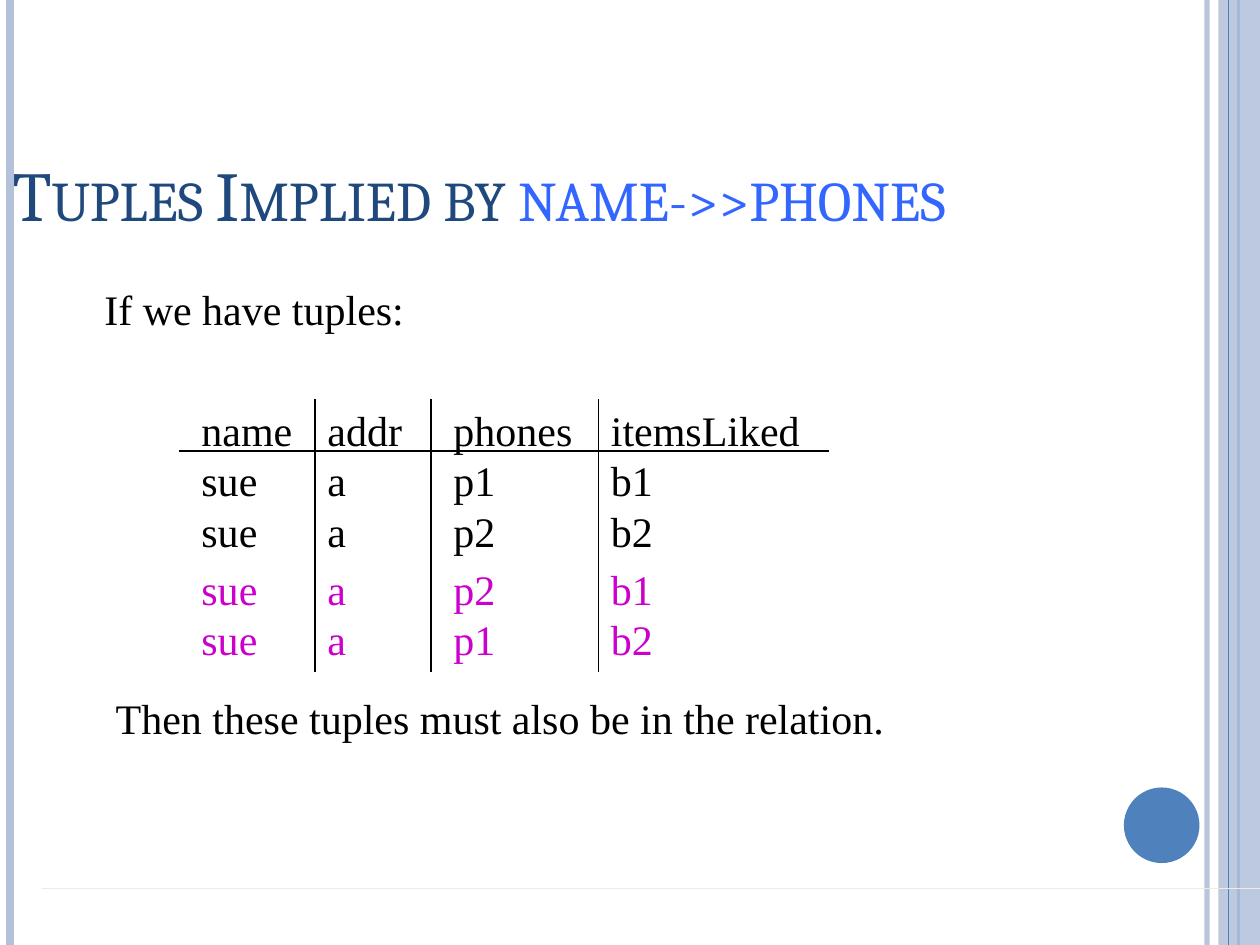
from pptx import Presentation, util as u
from pptx.dml.color import RGBColor
from pptx.enum import shapes, text
from pptx.oxml import ns, xmlchemy as xml

INK = {"black": "000000", "navy": "1F497D", "link": "3366FF", "pink": "CC00CC",
       "pale": "B3C1DB", "blue": "4F81BD", "cream": "EEECE1"}


class Deck:
    """Holds the style and the current slide, and draws each kind of element."""

    def __init__(self):
        self.prs = Presentation()
        self.prs.slide_width, self.prs.slide_height = u.Inches(10), u.Inches(7.5)
        self.slide = self.prs.slides.add_slide(self.prs.slide_layouts[5])
        self.body = {"name": "Times New Roman", "size": u.Pt(24)}
        self.head = {"name": "Cambria", "size": u.Pt(40)}
        self.frame = {"word_wrap": True, "auto_size": text.MSO_AUTO_SIZE.NONE}

    def put(self, item, vals):
        for key, val in vals.items():
            setattr(item, key, val)

    def run(self, para, words, style, ink):
        run = para.add_run()
        run.text = words
        self.put(run.font, style)
        run.font.color.rgb = RGBColor.from_string(INK[ink])
        return run

    def fade(self, shape, alpha):
        for clr in shape.element.spPr.iter(ns.qn("a:srgbClr")):
            xml.OxmlElement("a:alpha")
            tag = xml.OxmlElement("a:alpha")
            tag.set("val", str(alpha * 1000))
            clr.append(tag)

    def title(self, parts, *box):
        item = self.slide.shapes.title
        item.element.getparent().append(item.element)
        self.put(item, dict(zip(("left", "top", "width", "height"), map(u.Inches, box))))
        self.put(item.text_frame, {**self.frame, "vertical_anchor": text.MSO_ANCHOR.BOTTOM})
        para = item.text_frame.paragraphs[0]
        para.alignment = text.PP_ALIGN.LEFT
        for words, ink in parts:
            run = self.run(para, words, self.head, ink)
            run.font._element.set("cap", "small")

    def text(self, lines, *box, ink="black", tabs=()):
        frame = self.slide.shapes.add_textbox(*map(u.Inches, box)).text_frame
        self.put(frame, self.frame)
        for i, words in enumerate(lines):
            para = frame.add_paragraph() if i else frame.paragraphs[0]
            if tabs:
                stops = xml.OxmlElement("a:tabLst")
                for pos in tabs:
                    tab = xml.OxmlElement("a:tab")
                    tab.set("pos", str(u.Inches(pos)))
                    tab.set("algn", "l")
                    stops.append(tab)
                para._p.get_or_add_pPr().append(stops)
            self.run(para, words, self.body, ink)

    def line(self, *ends, ink="black", width=0.75, alpha=100):
        line = self.slide.shapes.add_connector(
            shapes.MSO_CONNECTOR.STRAIGHT, *map(u.Inches, ends))
        line.line.color.rgb = RGBColor.from_string(INK[ink])
        line.line.width = u.Pt(width)
        line.element.spPr.append(xml.OxmlElement("a:effectLst"))
        if alpha < 100:
            self.fade(line, alpha)

    def shape(self, kind, *box, ink, alpha=100):
        shape = self.slide.shapes.add_shape(kind, *map(u.Inches, box))
        shape.shadow.inherit = False
        shape.fill.solid()
        shape.fill.fore_color.rgb = RGBColor.from_string(INK[ink])
        shape.line.fill.background()
        if alpha < 100:
            self.fade(shape, alpha)


def main():
    deck = Deck()
    kind = shapes.MSO_SHAPE
    for x, ink, width, alpha in ((9.58, "pale", 3, 93), (0.08, "pale", 4.5, 100),
                                 (9.83, "blue", 1.5, 100)):
        deck.line(x, 0, x, 7.5, ink=ink, width=width, alpha=alpha)
    deck.shape(kind.RECTANGLE, 9.67, 0, 0.33, 7.5, ink="pale", alpha=87)
    deck.line(9.75, 0, 9.75, 7.5, ink="blue")
    deck.shape(kind.OVAL, 8.92, 6.25, 0.6, 0.6, ink="blue")
    deck.line(0.33, 7.05, 10, 7.05, ink="cream")

    deck.title((("Tuples Implied by ", "navy"), ("name->>phones", "link")),
               0, 0.67, 10, 1.25)
    deck.text(["If we have tuples:"], 0.73, 2.2, 2.87, 0.5)
    tabs = (1, 2, 3.25)
    given = ["name\taddr\tphones\titemsLiked", "sue\ta\tp1\tb1", "sue\ta\tp2\tb2"]
    deck.text(given, 1.5, 3.16, 5.02, 1.31, tabs=tabs)
    deck.text(["sue\ta\tp2\tb1", "sue\ta\tp1\tb2"], 1.5, 4.42, 3.88, 0.9,
              ink="pink", tabs=tabs)
    deck.text(["Then these tuples must also be in the relation."], 0.82, 5.45, 7.04, 0.5)

    deck.line(1.42, 3.58, 6.58, 3.58)
    for x in (2.5, 3.42, 4.75):
        deck.line(x, 3.17, x, 5.33)
    deck.prs.save("out.pptx")


if __name__ == "__main__":
    main()
